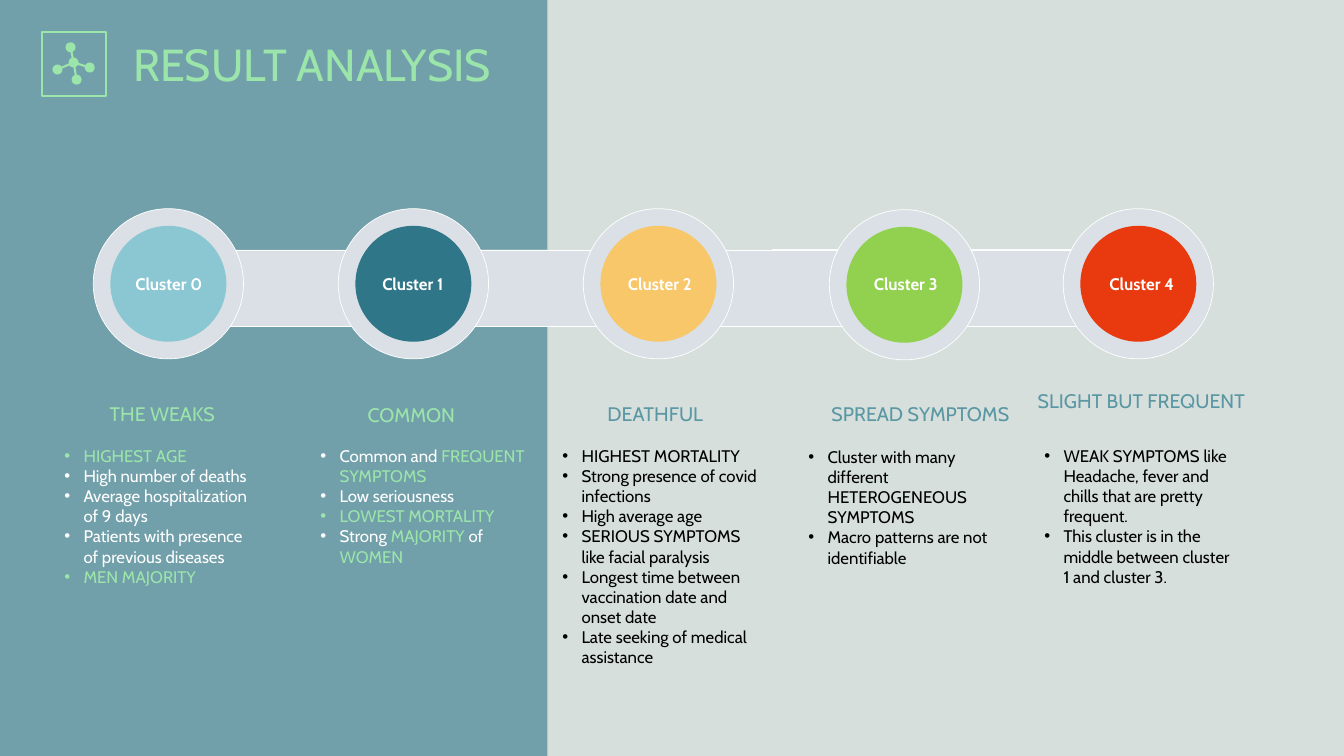
import pptx
import pptx.util
import pptx.dml.color
import pptx.enum.shapes
import pptx.enum.text
import pptx.oxml.ns
from lxml import etree

Inches = pptx.util.Inches
Pt = pptx.util.Pt
RGBColor = pptx.dml.color.RGBColor
Shape = pptx.enum.shapes.MSO_SHAPE
Align = pptx.enum.text.PP_ALIGN
Anchor = pptx.enum.text.MSO_ANCHOR
qn = pptx.oxml.ns.qn

FONT = "Cabin"
BACKGROUND = RGBColor(0xD6, 0xDF, 0xDC)
TEAL = RGBColor(0x30, 0x76, 0x89)
SOFT_TEAL = RGBColor(0x5A, 0x97, 0xA3)
MINT = RGBColor(0x9B, 0xE5, 0xAA)
SILVER = RGBColor(0xDA, 0xE0, 0xE5)
WHITE = RGBColor(0xFF, 0xFF, 0xFF)
BLACK = RGBColor(0, 0, 0)
SKY = RGBColor(0x8A, 0xC7, 0xD3)
AMBER = RGBColor(0xF7, 0xC7, 0x6A)
GREEN = RGBColor(0x92, 0xD0, 0x50)
RED = RGBColor(0xE9, 0x3A, 0x0F)

RING, DISC = 1.49, 1.15
LABEL_WIDTH, HEADING_WIDTH = 2.13, 2.26

# Asterisks switch the accent colour on and off inside a bullet.
CLUSTERS = [
    dict(name="Cluster 0", disc=SKY, center=(1.67, 2.815), label_left=0.61,
         heading="THE WEAKS", heading_at=(0.48, 3.94), list_box=(0.54, 4.37, 2.13, 1.51),
         colors=(WHITE, MINT),
         bullets=["*HIGHEST AGE*", "High number of deaths",
                  "Average hospitalization of 9 days",
                  "Patients with presence of previous diseases", "*MEN MAJORITY*"]),
    dict(name="Cluster 1", disc=TEAL, center=(4.1, 2.815), label_left=3.03,
         heading="COMMON", heading_at=(2.95, 3.95), list_box=(3.08, 4.37, 2.24, 1.31),
         colors=(WHITE, MINT),
         bullets=["Common and *FREQUENT SYMPTOMS*", "Low seriousness",
                  "*LOWEST MORTALITY*", "Strong *MAJORITY* of *WOMEN*"]),
    dict(name="Cluster 2", disc=AMBER, center=(6.53, 2.815), label_left=5.48,
         heading="DEATHFUL", heading_at=(5.37, 3.94), list_box=(5.48, 4.37, 2.13, 2.32),
         colors=(BLACK, SOFT_TEAL),
         bullets=["HIGHEST MORTALITY", "Strong presence of covid infections",
                  "High average age", "SERIOUS SYMPTOMS like facial paralysis",
                  "Longest time between vaccination date and onset date",
                  "Late seeking of medical assistance"]),
    dict(name="Cluster 3", disc=GREEN, center=(8.97, 2.825), label_left=7.92,
         heading="SPREAD SYMPTOMS", heading_at=(8, 3.94), list_box=(7.92, 4.38, 2.13, 1.31),
         colors=(BLACK, SOFT_TEAL),
         bullets=["Cluster with many different HETEROGENEOUS SYMPTOMS",
                  "Macro patterns are not identifiable"]),
    dict(name="Cluster 4", disc=RED, center=(11.29, 2.815), label_left=10.26,
         heading="SLIGHT BUT FREQUENT", heading_at=(10.19, 3.81),
         list_box=(10.26, 4.37, 2.13, 1.51), colors=(BLACK, SOFT_TEAL),
         bullets=["WEAK SYMPTOMS like Headache, fever and chills that are pretty frequent.",
                  "This cluster is in the middle between cluster 1 and cluster 3."]),
]


def add_span(para, text, size=12, color=WHITE, bold=False):
    span = para.add_run()
    span.text = text
    span.font.name = FONT
    span.font.size = Pt(size)
    span.font.bold = bold
    span.font.color.rgb = color


def add_box(page, left, top, width, height):
    box = page.shapes.add_textbox(Inches(left), Inches(top), Inches(width), Inches(height))
    box.text_frame.word_wrap = True
    return box


def add_label(page, text, left, top, width, height, **text_format):
    para = add_box(page, left, top, width, height).text_frame.paragraphs[0]
    para.alignment = Align.CENTER
    add_span(para, text, **text_format)


def add_bullet_mark(para):
    properties = para._p.get_or_add_pPr()
    properties.set("marL", str(Inches(0.19)))
    properties.set("indent", str(Inches(-0.19)))
    etree.SubElement(properties, qn("a:buFont")).set("typeface", "Arial")
    etree.SubElement(properties, qn("a:buChar")).set("char", "•")


def add_bullets(page, bullets, bounds, colors):
    frame = add_box(page, *bounds).text_frame
    for index, bullet in enumerate(bullets):
        para = frame.add_paragraph() if index else frame.paragraphs[0]
        add_bullet_mark(para)
        for part, text in enumerate(bullet.split("*")):
            if text:
                add_span(para, text, color=colors[part % 2])


def add_figure(page, kind, left, top, width, height, fill=None, line=None, weight=0.5):
    figure = page.shapes.add_shape(kind, Inches(left), Inches(top), Inches(width), Inches(height))
    figure.shadow.inherit = False
    if fill is None:
        figure.fill.background()
    else:
        figure.fill.solid()
        figure.fill.fore_color.rgb = fill
    if line is None:
        figure.line.fill.background()
    else:
        figure.line.color.rgb = line
        figure.line.width = Pt(weight)
    return figure


def add_circle(page, x, y, diameter, **style):
    add_figure(page, Shape.OVAL, x - diameter / 2, y - diameter / 2, diameter, diameter, **style)


def add_panel(page):
    """Translucent left panel, placed behind the title."""
    panel = add_figure(page, Shape.RECTANGLE, 0, 0, 5.43, 7.5, fill=TEAL)
    color = panel.fill._xPr.find(qn("a:solidFill"))[0]
    etree.SubElement(color, qn("a:alpha")).set("val", "60000")
    page.shapes._spTree.insert(2, panel._element)


def set_title(page, text):
    title = page.shapes.title
    title.left, title.top, title.width, title.height = map(Inches, (1.22, 0.12, 7.8, 1.08))
    frame = title.text_frame
    frame.auto_size = pptx.enum.text.MSO_AUTO_SIZE.NONE
    frame.vertical_anchor = Anchor.MIDDLE
    para = frame.paragraphs[0]
    para.alignment = Align.LEFT
    para.line_spacing = 0.9
    para.space_before = Pt(10)
    add_span(para, text, size=32, color=MINT)


def add_molecule_icon(page):
    add_figure(page, Shape.RECTANGLE, 0.42, 0.32, 0.63, 0.63, line=MINT, weight=1.5)
    hub = (0.73, 0.62)
    for x, y in [(0.7, 0.47), (0.89, 0.67), (0.76, 0.79), (0.57, 0.69)]:
        bond = page.shapes.add_connector(pptx.enum.shapes.MSO_CONNECTOR.STRAIGHT,
                                         *map(Inches, (*hub, x, y)))
        bond.line.color.rgb = MINT
        bond.line.width = Pt(1.5)
        etree.SubElement(bond._element.spPr, qn("a:effectLst"))
        add_circle(page, x, y, 0.1, fill=MINT)
    add_circle(page, *hub, 0.1, fill=MINT)


def add_cluster(page, cluster):
    add_circle(page, *cluster["center"], RING, fill=SILVER, line=WHITE)
    add_circle(page, *cluster["center"], DISC, fill=cluster["disc"])
    add_label(page, cluster["name"], cluster["label_left"], 2.67, LABEL_WIDTH, 0.3, bold=True)
    heading_color = MINT if cluster["colors"][0] == WHITE else SOFT_TEAL
    add_label(page, cluster["heading"], *cluster["heading_at"], HEADING_WIDTH, 0.34,
              size=14, color=heading_color)
    add_bullets(page, cluster["bullets"], cluster["list_box"], cluster["colors"])


def main():
    deck = pptx.Presentation()
    deck.slide_width, deck.slide_height = Inches(13.33), Inches(7.5)
    page = deck.slides.add_slide(deck.slide_layouts[5])
    page.background.fill.solid()
    page.background.fill.fore_color.rgb = BACKGROUND
    add_panel(page)
    set_title(page, "RESULT ANALYSIS")
    add_molecule_icon(page)
    for left, top, width, height in [(3.78, 2.48, 3.99, 0.76), (7.66, 2.47, 3.64, 0.77),
                                     (1.96, 2.48, 9.08, 0.76)]:
        add_figure(page, Shape.RECTANGLE, left, top, width, height, fill=SILVER, line=WHITE)
    for cluster in CLUSTERS:
        add_cluster(page, cluster)
    deck.save("out.pptx")


if __name__ == "__main__":
    main()
